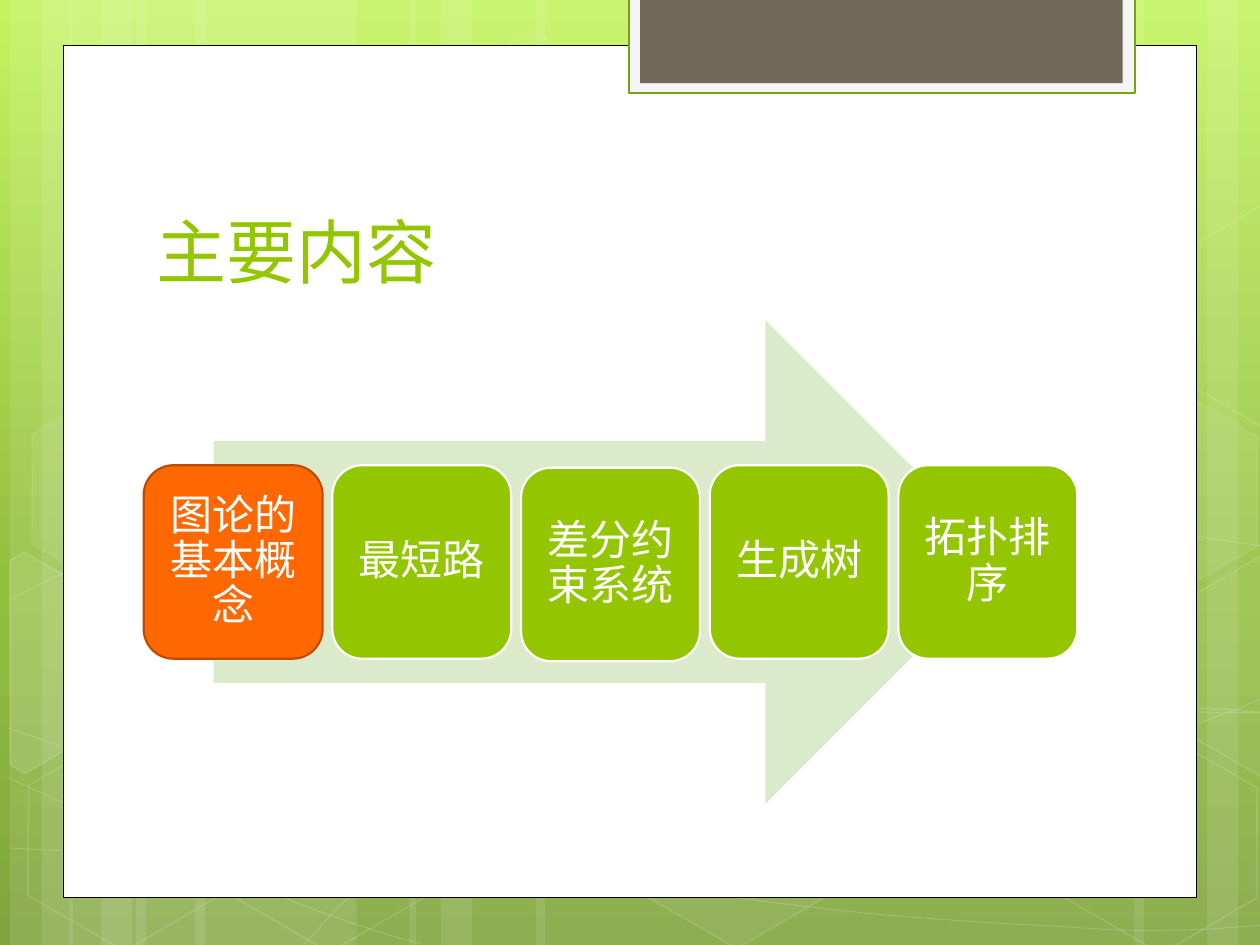
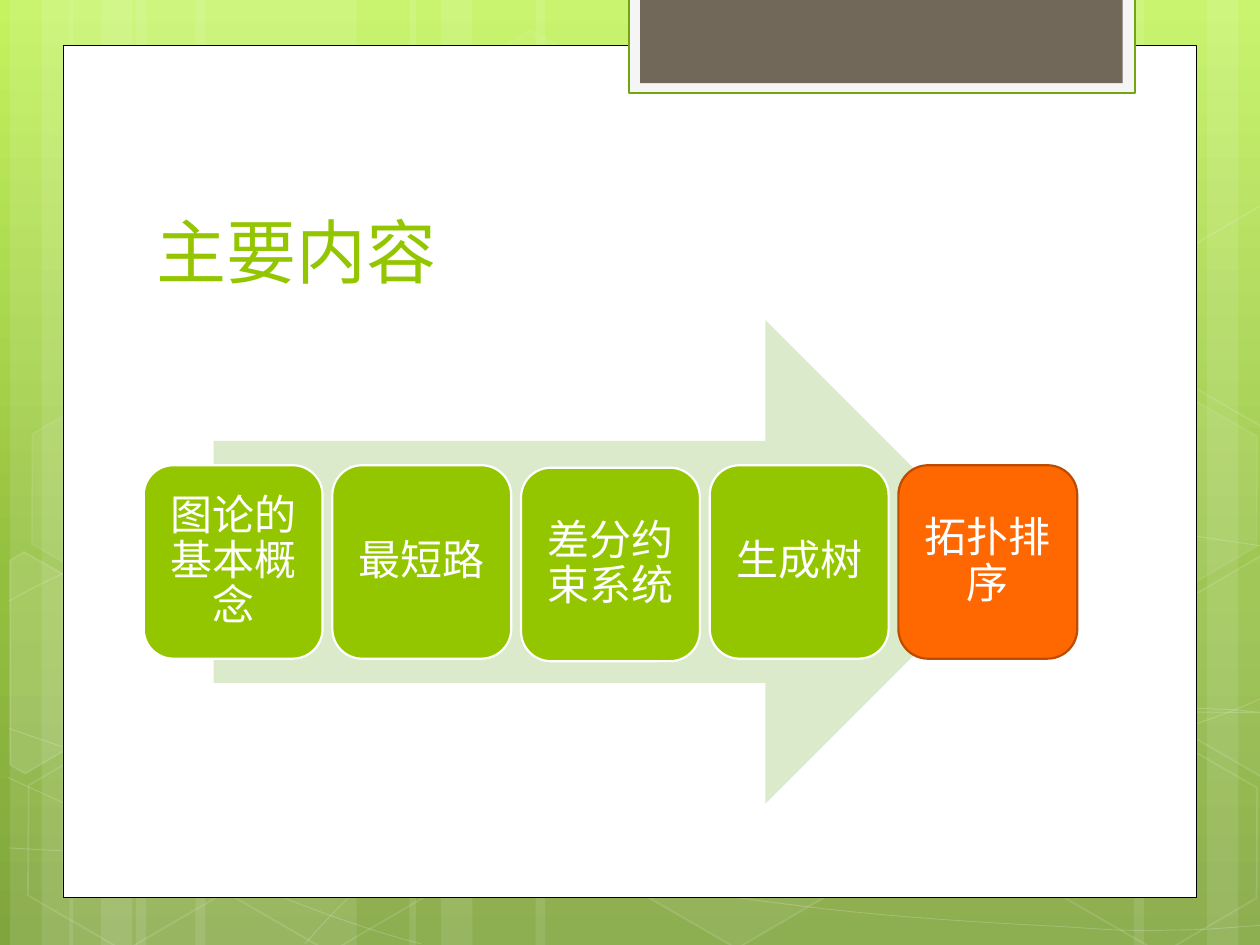
from copy import deepcopy

from lxml.etree import SubElement
from pptx import Presentation
from pptx.dml.color import RGBColor
from pptx.enum.shapes import MSO_SHAPE as Preset
from pptx.enum.text import MSO_ANCHOR as Anchor, MSO_AUTO_SIZE as AutoSize, PP_ALIGN as Align
from pptx.oxml.ns import qn
from pptx.util import Inches, Pt

# Shared look
WIDTH, HEIGHT = 10, 7.5
FONT = "Quicksand"
WHITE = RGBColor(0xFF, 0xFF, 0xFF)
BLACK = RGBColor(0x00, 0x00, 0x00)
GREEN = RGBColor(0x94, 0xC6, 0x00)
DARK_GREEN = RGBColor(0x74, 0xA5, 0x10)
PALE_GREEN = RGBColor(0xDC, 0xEA, 0xCC)
ORANGE = RGBColor(0xFF, 0x67, 0x00)
DARK_ORANGE = RGBColor(0xBD, 0x4C, 0x00)
TAUPE = RGBColor(0x71, 0x68, 0x5A)
OFF_WHITE = RGBColor(0xF5, 0xF5, 0xF5)
BACKDROP = [(0, RGBColor(0xC3, 0xF3, 0x5F)), (0.62, RGBColor(0x93, 0xBF, 0x3F)),
            (1, RGBColor(0x81, 0xA5, 0x3E))]

TITLE_BOX = (1.14, 1.12, 7.68, 1.25)
STEPS_BOX = (1.14, 2.54, 7.41, 3.84)

# Translucent stripes: left edge and width, full slide height
STRIPES = [(1.08, 1.75), (0.08, 0.5), (0.33, 0.83), (1.55, 1.75), (0.55, 0.5), (0.8, 0.83),
           (7.33, 1.75), (9.58, 0.5), (9, 0.83), (4.25, 3.08), (3.25, 0.5), (3.5, 0.83)]

# Cubic curves: a start point, then two controls and an end for each segment
CURVES = [
    [(0.07, 6.73), (0.61, 6.76), (1.15, 6.79), (1.9, 6.78), (2.65, 6.77), (3.58, 6.75),
     (4.58, 6.65), (5.58, 6.55), (7, 6.36), (7.92, 6.17), (8.83, 5.98), (9.77, 5.68),
     (10.07, 5.51)],
    [(0.07, 4.77), (0.36, 4.61), (0.65, 4.46), (1.21, 4.31), (1.78, 4.16), (2.59, 3.94),
     (3.47, 3.87), (4.36, 3.8), (5.44, 3.79), (6.54, 3.87), (7.64, 3.95), (9.47, 4.26),
     (10.07, 4.34)],
    [(0.06, 6.17), (1.27, 6.72), (2.47, 7.27), (3.34, 7.49)],
    [(0.07, 5.78), (0.38, 5.89), (0.7, 6), (1.28, 6.16), (1.86, 6.31), (2.73, 6.56),
     (3.57, 6.73), (4.4, 6.9), (5.45, 7.08), (6.28, 7.18), (7.11, 7.29), (8, 7.33),
     (8.53, 7.36), (9.05, 7.4), (9.19, 7.38), (9.45, 7.38), (9.71, 7.37), (9.89, 7.35),
     (10.07, 7.34)],
    [(2.42, 7.49), (2.6, 7.29), (2.78, 7.09), (3.02, 6.91), (3.26, 6.73), (3.6, 6.53),
     (3.88, 6.39), (4.16, 6.25), (4.33, 6.19), (4.7, 6.09), (5.06, 5.99), (5.73, 5.85),
     (6.08, 5.78), (6.44, 5.71), (6.49, 5.71), (6.8, 5.69), (7.11, 5.66), (7.6, 5.63),
     (7.94, 5.62), (8.29, 5.61), (8.86, 5.62), (8.86, 5.62), (9.08, 5.62), (9.31, 5.62),
     (9.53, 5.62), (9.71, 5.63), (9.88, 5.64), (9.97, 5.65), (10.06, 5.66), (10.03, 5.65),
     (10.06, 5.66)],
]
# The first 21 points of the last curve close seven segments; its flat run follows
CURVES[-1].pop(21)

# Hexagons: left, top, fill opacity and line opacity in percent
HEXAGONS = [(3.34, 0.36, 4, 8), (4.97, 5.89, 6, 12), (0.11, 5.91, 0, 12),
            (0.14, 3.12, 7, 8), (1.74, 5.92, 0, 12), (7.53, 4.53, 10, 12),
            (8.34, 5.93, 0, 12), (8.34, 3.14, 7, 8)]

# Hexagons cut by the slide edge: fill opacity and outline
CUT_HEXAGONS = [
    (10, [(0.08, 4.45), (0.19, 4.38), (0.96, 4.82), (0.95, 5.7), (0.2, 6.14), (0.08, 6.07)]),
    (4, [(9.26, 4.85), (10.01, 4.41), (10.09, 4.46), (10.09, 6.13), (10.02, 6.17),
         (9.26, 5.73)]),
    (0, [(9.26, 2.07), (10.01, 1.63), (10.1, 1.68), (10.09, 3.35), (10.02, 3.39),
         (9.26, 2.95)]),
]

STEPS = ["图论的基本概念", "最短路", "差分约束系统", "生成树", "拓扑排序"]
STEP_DROPS = [0, 0, 0.02, 0, 0]


def inches(values):
    return [Inches(value) for value in values]


def set_opacity(shape, parent, percent):
    color = shape.element.spPr.find(f"{parent}{qn('a:solidFill')}/{qn('a:srgbClr')}")
    SubElement(color, qn("a:alpha")).set("val", str(percent * 1000))


def paint(shape, fill=None, line=None, width=1.25, fill_opacity=100, line_opacity=100):
    shape.shadow.inherit = False
    if fill is None or fill_opacity == 0:
        shape.fill.background()
    else:
        shape.fill.solid()
        shape.fill.fore_color.rgb = fill
        if fill_opacity < 100:
            set_opacity(shape, "", fill_opacity)
    if line is None:
        shape.line.fill.background()
    else:
        shape.line.color.rgb = line
        shape.line.width = Pt(width)
        if line_opacity < 100:
            set_opacity(shape, qn("a:ln") + "/", line_opacity)


def add_preset(shapes, preset, box, **look):
    shape = shapes.add_shape(preset, *inches(box))
    paint(shape, **look)
    return shape


def add_outline(shapes, points, close, **look):
    start, *others = [inches(point) for point in points]
    builder = shapes.build_freeform(*start)
    builder.add_line_segments(others, close=close)
    shape = builder.convert_to_shape()
    paint(shape, **look)
    return shape


def bend(shape):
    """Turn every three straight segments of an outline into one cubic segment."""
    outline = shape.element.spPr.find(f".//{qn('a:path')}")
    segments = outline.findall(qn("a:lnTo"))
    for first in range(0, len(segments), 3):
        cubic = SubElement(outline, qn("a:cubicBezTo"))
        for segment in segments[first:first + 3]:
            cubic.append(segment[0])
            outline.remove(segment)


def draw_backdrop(shapes):
    """Stripes, curves and hexagons behind the white panel."""
    for left, width in STRIPES:
        add_preset(shapes, Preset.RECTANGLE, (left, 0, width, HEIGHT),
                   fill=WHITE, fill_opacity=10)
    for curve in CURVES:
        bend(add_outline(shapes, curve, False, line=WHITE, width=0.5, line_opacity=20))
    for left, top, fill_opacity, line_opacity in HEXAGONS:
        hexagon = add_preset(shapes, Preset.HEXAGON, (left, top, 1.75, 1.52),
                             fill=WHITE, fill_opacity=fill_opacity,
                             line=WHITE, width=1, line_opacity=line_opacity)
        hexagon.adjustments[0] = 0.285
        hexagon.rotation = 30
    for opacity, points in CUT_HEXAGONS:
        add_outline(shapes, points, True, fill=WHITE, fill_opacity=opacity,
                    line=WHITE, width=1, line_opacity=12)


def draw_panel(shapes):
    """White panel with the tab hanging from the top edge."""
    add_preset(shapes, Preset.RECTANGLE, (0.5, 0.36, 9, 6.76),
               fill=WHITE, line=BLACK, width=0.5)
    add_preset(shapes, Preset.RECTANGLE, (4.99, -0.02, 4.02, 0.76),
               fill=OFF_WHITE, line=DARK_GREEN)
    add_preset(shapes, Preset.RECTANGLE, (5.08, -0.02, 3.83, 0.68), fill=TAUPE)


def set_up_layout(deck, layout):
    """Put the gradient and decoration on the layout that all slides share."""
    for holder in list(layout.placeholders):
        if holder.placeholder_format.idx != 0:
            holder.element.getparent().remove(holder.element)
    fill = layout.background.fill
    fill.gradient()
    fill.gradient_angle = 270
    stop_list = layout.element.find(f".//{qn('a:gsLst')}")
    stop_list.append(deepcopy(stop_list[0]))
    for stop, (position, color) in zip(fill.gradient_stops, BACKDROP):
        stop.position = position
        stop.color.rgb = color

    # Layouts cannot add shapes, so draw on the first slide and move them over
    page = deck.slides.add_slide(layout)
    draw_backdrop(page.shapes.add_group_shape().shapes)
    draw_panel(page.shapes)
    drawn = [shape.element for shape in page.shapes if not shape.is_placeholder]
    for order, element in enumerate(drawn):
        layout.shapes.element.insert(2 + order, element)
    return page


def format_text(frame, size, color, align, anchor):
    frame.word_wrap = True
    frame.auto_size = AutoSize.NONE
    frame.vertical_anchor = anchor
    para = frame.paragraphs[0]
    para.alignment = align
    for span in para.runs:
        span.font.name = FONT
        span.font.size = Pt(size)
        span.font.color.rgb = color


def place_title(page, box, text):
    title = page.shapes.title
    title.left, title.top, title.width, title.height = inches(box)
    title.text_frame.text = text
    format_text(title.text_frame, 40, GREEN, Align.LEFT, Anchor.BOTTOM)


def draw_steps(page, box, current):
    """Arrow with a row of equally spaced steps, the current one in orange."""
    left, top, width, height = box
    shapes = page.shapes.add_group_shape().shapes
    arrow_width = 0.85 * width
    add_preset(shapes, Preset.RIGHT_ARROW,
               (left + (width - arrow_width) / 2, top, arrow_width, height), fill=PALE_GREEN)
    step_width, step_height = 1.42, 0.4 * height
    pitch = (width - step_width) / (len(STEPS) - 1)
    step_top = top + (height - step_height) / 2
    for index, (label, drop) in enumerate(zip(STEPS, STEP_DROPS)):
        fill, line = (ORANGE, DARK_ORANGE) if index == current else (GREEN, WHITE)
        step = add_preset(shapes, Preset.ROUNDED_RECTANGLE,
                          (left + index * pitch, step_top + drop, step_width, step_height),
                          fill=fill, line=line)
        frame = step.text_frame
        frame.text = label
        frame.margin_left = frame.margin_right = Inches(0.1)
        frame.margin_top = frame.margin_bottom = Inches(0.1)
        frame.paragraphs[0].line_spacing = 0.9
        format_text(frame, 24, WHITE, Align.CENTER, Anchor.MIDDLE)


def fill_contents_page(page, current):
    place_title(page, TITLE_BOX, "主要内容")
    draw_steps(page, STEPS_BOX, current)


deck = Presentation()
deck.slide_width, deck.slide_height = Inches(WIDTH), Inches(HEIGHT)
title_only = deck.slide_layouts[5]
opening = set_up_layout(deck, title_only)
closing = deck.slides.add_slide(title_only)
fill_contents_page(opening, 0)
fill_contents_page(closing, len(STEPS) - 1)
deck.save("out.pptx")
